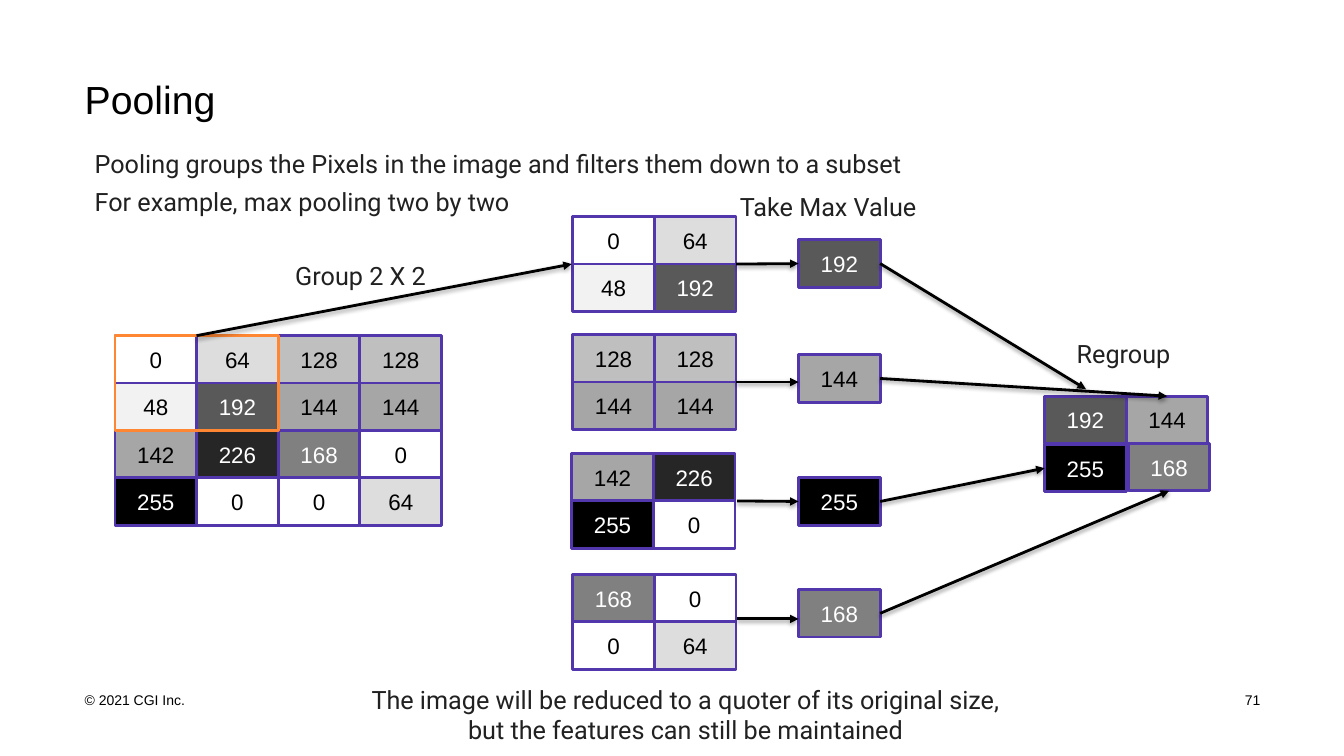
"""Build a slide that explains two by two max pooling."""
from lxml import etree
from pptx import Presentation
from pptx.dml.color import RGBColor
from pptx.enum import shapes, text
from pptx.oxml import parse_xml
from pptx.util import Inches, Pt

COLORS = {"ink": "000000", "body": "212121", "paper": "FFFFFF", "grid": "5236AB", "mark": "FF8733"}
SHADES = {0: "FFFFFF", 48: "F2F2F2", 64: "DDDDDD", 128: "BFBFBF", 142: "A6A6A6", 144: "A6A6A6",
          168: "808080", 192: "595959", 226: "262626", 255: "000000"}
WHITE_TEXT_FROM = 168
CELL_W, CELL_H = 0.81, 0.47
TOP, LEFT, BOTTOM, RIGHT = range(4)

IMAGE = [[0, 64, 128, 128], [48, 192, 144, 144], [142, 226, 168, 0], [255, 0, 0, 64]]
IMAGE_AT = (1.14, 3.33)
BLOCKS = [(5.68, 2.15), (5.68, 3.32), (5.67, 4.5), (5.68, 5.7)]
MAX_X, MAX_TOPS = 7.92, [2.38, 3.52, 4.74, 5.85]
BLOCK_ARROWS = [(7.3, 2.62, True), (7.3, 3.79, False), (7.31, 4.97, True), (7.31, 6.14, False)]
REGROUPED = [(10.36, 3.93), (11.17, 3.93), (10.36, 4.41), (11.19, 4.4)]
REGROUP_ENDS = [(10.77, 3.86, None), (11.58, 3.93, TOP), (10.36, 4.64, LEFT), (11.59, 4.87, BOTTOM)]

FLUSH = {"margin_left": 0, "margin_right": 0, "margin_top": 0, "margin_bottom": 0}
MIDDLE = {"vertical_anchor": text.MSO_ANCHOR.MIDDLE}
CELL_FRAME = {**MIDDLE, "word_wrap": True, "margin_left": Inches(0.07), "margin_right": Inches(0.07),
              "margin_top": 0, "margin_bottom": 0}
CENTER, END = text.PP_ALIGN.CENTER, text.PP_ALIGN.RIGHT
FOOTER = (10, "Arial", "ink")
BODY = (18, "Roboto", "body")
HEADINGS = [
    ("© 2021 CGI Inc.", (0.84, 6.85, 2.1, 0.19), FOOTER, {**FLUSH, **MIDDLE, "word_wrap": False}, None),
    ("71", (12.21, 6.85, 0.29, 0.19), FOOTER, {**FLUSH, **MIDDLE}, END),
    ("Pooling", (0.84, 0.75, 11.68, 0.58), (28, "Arial", "ink"), FLUSH, None),
    ("Pooling groups the Pixels in the image and filters them down to a subset",
     (0.84, 1.42, 10.12, 0.4), BODY, {}, None),
    ("For example, max pooling two by two", (0.84, 1.8, 10.12, 0.4), BODY, {}, None),
]
LABELS = [
    ("Group 2 X 2", (2.83, 2.53, 1.73, 0.4), BODY, {}, None),
    ("Take Max Value", (7.24, 1.85, 2.3, 0.4), BODY, {}, None),
    ("Regroup", (10.58, 3.31, 2.3, 0.4), BODY, {}, None),
]
SUMMARY = ("The image will be reduced to a quoter of its original size, "
           "but the features can still be maintained", (3.56, 6.74, 6.48, 0.71), BODY, {}, CENTER)

NS = "http://schemas.openxmlformats.org/drawingml/2006/main"
SHADOW = (f'<a:effectLst xmlns:a="{NS}"><a:outerShdw blurRad="{Pt(3.1)}" dist="{Pt(1.6)}" '
          'dir="5400000" rotWithShape="0"><a:srgbClr val="000000"><a:alpha val="38000"/>'
          '</a:srgbClr></a:outerShdw></a:effectLst>')


def rgb(name):
    return RGBColor.from_string(COLORS.get(name, name))


def apply(obj, formats):
    for name, value in formats.items():
        setattr(obj, name, value)


def write(tf, words, style, frame, align):
    size, font, color = style
    apply(tf, {"word_wrap": True, **frame})
    p = tf.paragraphs[0]
    p.alignment = align
    r = p.add_run()
    r.text = words
    apply(r.font, {"size": Pt(size), "name": font})
    r.font.color.rgb = rgb(color)


def add_label(s, words, box, style, frame, align):
    sp = s.shapes.add_textbox(*map(Inches, box))
    write(sp.text_frame, words, style, frame, align)
    return sp


def add_box(s, box, fill=None, line="grid"):
    sp = s.shapes.add_shape(shapes.MSO_SHAPE.RECTANGLE, *map(Inches, box))
    sp.shadow.inherit = False
    if fill:
        sp.fill.solid()
        sp.fill.fore_color.rgb = rgb(fill)
    else:
        sp.fill.background()
    sp.line.color.rgb = rgb(line)
    sp.line.width = Pt(2)
    return sp


def add_cell(s, value, x, y):
    sp = add_box(s, (x, y, CELL_W, CELL_H), SHADES[value])
    color = "paper" if value >= WHITE_TEXT_FROM else "ink"
    write(sp.text_frame, str(value), (16, "Arial", color), CELL_FRAME, CENTER)
    return sp


def add_grid(s, rows, x, y):
    for i, row in enumerate(rows):
        for j, value in enumerate(row):
            add_cell(s, value, x + j * CELL_W, y + i * CELL_H)


def add_arrow(s, start, end, begin_at=None, end_at=None):
    line = s.shapes.add_connector(shapes.MSO_CONNECTOR.STRAIGHT, *map(Inches, (*start, *end)))
    line.line.color.rgb = rgb("ink")
    line.line.width = Pt(2)
    etree.SubElement(line.line._get_or_add_ln(), f"{{{NS}}}tailEnd", type="triangle")
    line._element.spPr.append(parse_xml(SHADOW))
    if begin_at:
        line.begin_connect(*begin_at)
    if end_at:
        line.end_connect(*end_at)


def main():
    prs = Presentation()
    apply(prs, {"slide_width": Inches(13.33), "slide_height": Inches(7.5)})
    s = prs.slides.add_slide(prs.slide_layouts[6])
    for heading in HEADINGS:
        add_label(s, *heading)

    add_grid(s, IMAGE, *IMAGE_AT)
    groups = [[row[j:j + 2] for row in IMAGE[i:i + 2]] for i in (0, 2) for j in (0, 2)]
    for group, corner in zip(groups, BLOCKS):
        add_grid(s, group, *corner)
    window = add_box(s, (*IMAGE_AT, 2 * CELL_W, 2 * CELL_H), line="mark")
    add_arrow(s, (1.95, 3.33), (5.67, 2.62), (window, TOP))

    peaks = [max(map(max, group)) for group in groups]
    maxima = [add_cell(s, peak, MAX_X, y) for peak, y in zip(peaks, MAX_TOPS)]
    for (x, y, joined), cell in zip(BLOCK_ARROWS, maxima):
        add_arrow(s, (x, y), (MAX_X, y), end_at=(cell, LEFT) if joined else None)

    results = [add_cell(s, peak, *corner) for peak, corner in zip(peaks, REGROUPED)]
    for cell, top, result, (x, y, side) in zip(maxima, MAX_TOPS, results, REGROUP_ENDS):
        start = (MAX_X + CELL_W, top + CELL_H / 2)
        add_arrow(s, start, (x, y), (cell, RIGHT), None if side is None else (result, side))

    for label in LABELS:
        add_label(s, *label)
    summary = add_label(s, *SUMMARY)
    summary.fill.solid()
    summary.fill.fore_color.rgb = rgb("paper")
    prs.save("out.pptx")


if __name__ == "__main__":
    main()
